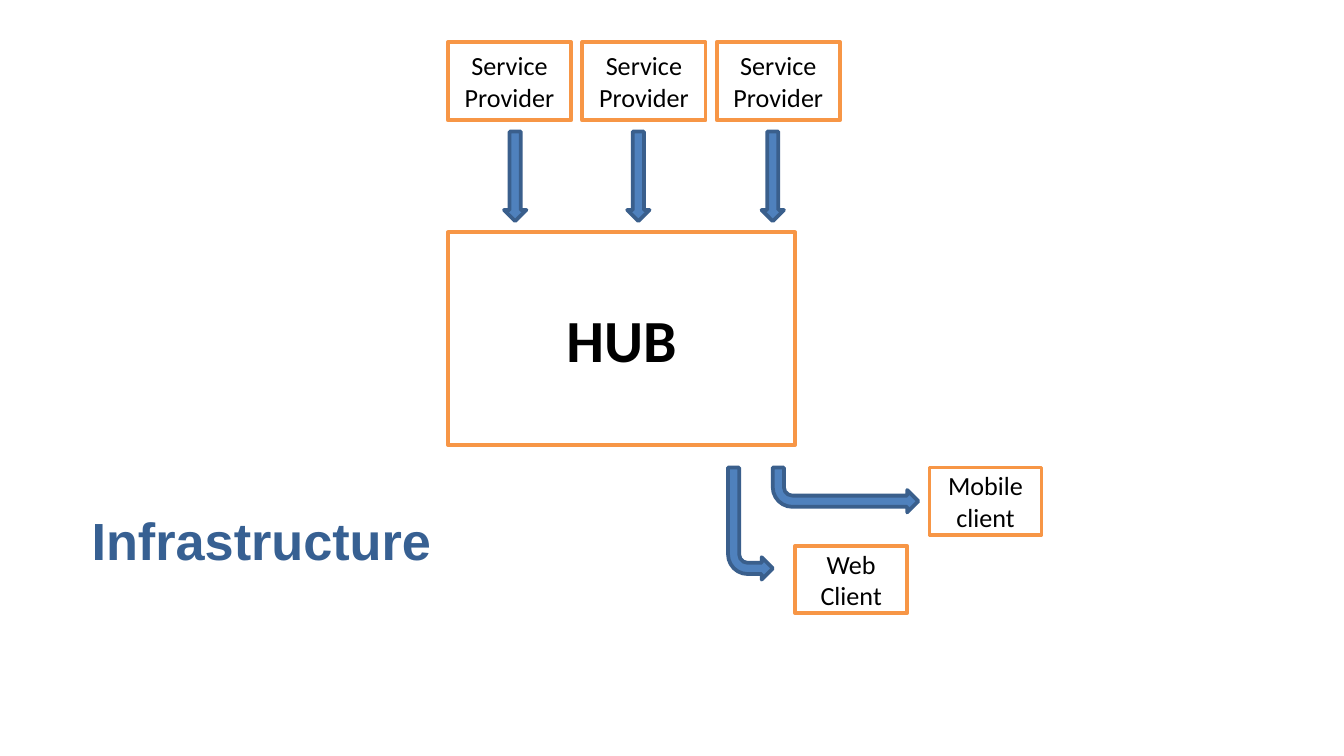
"""Draw the infrastructure slide: service providers feeding a hub that serves clients."""
from dataclasses import dataclass

from pptx import Presentation
from pptx.dml.color import RGBColor
from pptx.enum.shapes import MSO_SHAPE as Shape
from pptx.enum.text import MSO_ANCHOR as Anchor, MSO_AUTO_SIZE as AutoSize, PP_ALIGN as Align
from pptx.util import Inches, Pt


@dataclass(frozen=True)
class Theme:
    white: str = "FFFFFF"
    text: str = "000000"
    title: str = "376092"
    border: str = "F79646"
    arrow: str = "4F81BD"
    arrow_edge: str = "3A5F8C"
    body_font: str = "Calibri"
    title_font: str = "Arial"
    line: float = 2
    label_size: int = 14
    title_size: int = 28
    hub_size: int = 32


@dataclass(frozen=True)
class Cell:
    col: float
    row: float
    cols: float
    rows: float

    def lengths(self) -> list[int]:
        return [Inches(v) for v in (self.col * UNIT, self.row * UNIT + TOP,
                                    self.cols * UNIT, self.rows * UNIT)]


@dataclass(frozen=True)
class Box:
    cell: Cell
    lines: tuple[str, ...]
    size: int
    bold: bool = False


@dataclass(frozen=True)
class Arrow:
    cell: Cell
    kind: Shape


THEME = Theme()
WIDTH = 10
HEIGHT = WIDTH * 9 / 16
UNIT = WIDTH / 120
TOP = (HEIGHT - 68 * UNIT) / 2
PROVIDERS = 3
PITCH = 12

BOXES = [
    Box(Cell(40, 21, 31, 19), ("HUB",), THEME.hub_size, True),
    *(Box(Cell(40 + PITCH * i, 4, 11, 7), ("Service", "Provider"), THEME.label_size)
      for i in range(PROVIDERS)),
    Box(Cell(83, 42, 10, 6), ("Mobile client",), THEME.label_size),
    Box(Cell(71, 49, 10, 6), ("Web Client",), THEME.label_size),
]
ARROWS = [
    *(Arrow(Cell(col, 12, 2, 8), Shape.DOWN_ARROW) for col in (45, 56, 68)),
    Arrow(Cell(69, 42, 13, 4), Shape.BENT_ARROW),
    Arrow(Cell(65, 42, 4, 10), Shape.BENT_ARROW),
]


def add_run(p, text: str, size: int, font: str, color: str, bold: bool) -> None:
    r = p.add_run()
    r.text = text
    r.font.size, r.font.name, r.font.bold = Pt(size), font, bold
    r.font.color.rgb = RGBColor.from_string(color)


def add_figure(slide, kind: Shape, cell: Cell, fill: str, line: str):
    sp = slide.shapes.add_shape(kind, *cell.lengths())
    sp.shadow.inherit = False
    sp.fill.solid()
    sp.fill.fore_color.rgb = RGBColor.from_string(fill)
    sp.line.color.rgb = RGBColor.from_string(line)
    sp.line.width = Pt(THEME.line)
    return sp


def add_box(slide, box: Box) -> None:
    sp = add_figure(slide, Shape.RECTANGLE, box.cell, THEME.white, THEME.border)
    tf = sp.text_frame
    tf.word_wrap, tf.vertical_anchor = True, Anchor.MIDDLE
    for i, line in enumerate(box.lines):
        p = tf.add_paragraph() if i else tf.paragraphs[0]
        p.alignment = Align.CENTER
        add_run(p, line, box.size, THEME.body_font, THEME.text, box.bold)


def add_arrow(slide, arrow: Arrow) -> None:
    sp = add_figure(slide, arrow.kind, arrow.cell, THEME.arrow, THEME.arrow_edge)
    if arrow.kind == Shape.BENT_ARROW:
        sp.rotation = 180
        sp.element.spPr.xfrm.set("flipH", "1")


def add_title(slide, text: str, cell: Cell) -> None:
    tf = slide.shapes.add_textbox(*cell.lengths()).text_frame
    tf.word_wrap, tf.auto_size = False, AutoSize.SHAPE_TO_FIT_TEXT
    add_run(tf.paragraphs[0], text, THEME.title_size, THEME.title_font, THEME.title, True)


def main() -> None:
    prs = Presentation()
    prs.slide_width, prs.slide_height = Inches(WIDTH), Inches(HEIGHT)
    s = prs.slides.add_slide(prs.slide_layouts[6])
    for box in BOXES:
        add_box(s, box)
    for arrow in ARROWS:
        add_arrow(s, arrow)
    add_title(s, "Infrastructure", Cell(7, 45, 35.75, 6.85))
    prs.save("out.pptx")


if __name__ == "__main__":
    main()
